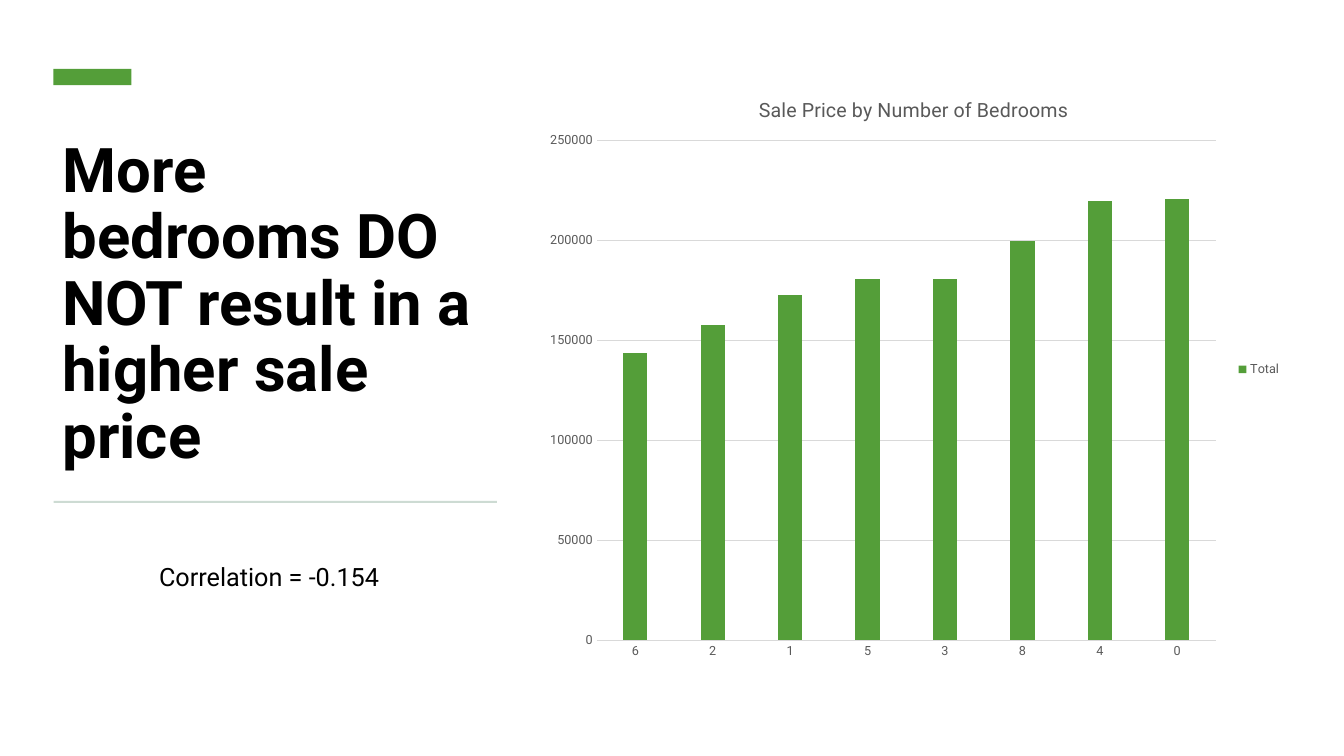
from dataclasses import dataclass

from lxml.etree import SubElement
from pptx import Presentation
from pptx.chart.data import CategoryChartData
from pptx.dml.color import RGBColor
from pptx.enum.chart import XL_CHART_TYPE as ChartType, XL_LEGEND_POSITION as LegendPos
from pptx.enum.chart import XL_TICK_MARK as TickMark
from pptx.enum.shapes import MSO_SHAPE as Shape
from pptx.enum.text import MSO_ANCHOR as Anchor, MSO_AUTO_SIZE as AutoSize
from pptx.oxml.ns import qn
from pptx.util import Inches, Pt


@dataclass(frozen=True)
class Theme:
    font: str = "Roboto"
    ink: str = "000000"
    muted: str = "595959"
    green: str = "549E39"
    rule: str = "CDDBD3"
    grid: str = "D9D9D9"
    headline: float = 44
    caption: float = 18
    chart_title: float = 14
    label: float = 9


THEME = Theme()
WIDTH, HEIGHT = Inches(13.33), Inches(7.5)
SALE_PRICES = {"6": 144000, "2": 158000, "1": 173000, "5": 181000,
               "3": 181000, "8": 200000, "4": 220000, "0": 221000}


def box(x, y, w, h):
    """Turn percentages of the slide into left, top, width, height."""
    return [int(share * side / 100)
            for share, side in zip((x, y, w, h), (WIDTH, HEIGHT) * 2)]


def style_font(font, size, color, bold=False):
    font.name, font.size, font.bold = THEME.font, Pt(size), bold
    font.color.rgb = RGBColor.from_string(color)


def write(tf, text, size, color=THEME.ink, bold=False, spacing=None):
    p = tf.paragraphs[0]
    p.line_spacing = spacing
    r = p.add_run()
    r.text = text
    style_font(r.font, size, color, bold)


def add_title(s, text, area):
    sp = s.shapes.title
    sp.left, sp.top, sp.width, sp.height = area
    tf = sp.text_frame
    tf.word_wrap, tf.auto_size = True, AutoSize.NONE
    tf.vertical_anchor = Anchor.BOTTOM
    write(tf, text, THEME.headline, bold=True, spacing=0.9)
    # Left-aligned headline
    tf.paragraphs[0].alignment = 1


def add_bar(s, color, area):
    sp = s.shapes.add_shape(Shape.RECTANGLE, *area)
    sp.shadow.inherit = False
    sp.fill.solid()
    sp.fill.fore_color.rgb = RGBColor.from_string(color)
    sp.line.fill.background()


def add_caption(s, text, area):
    tf = s.shapes.add_textbox(*area).text_frame
    tf.word_wrap, tf.auto_size = False, AutoSize.SHAPE_TO_FIT_TEXT
    write(tf, text, THEME.caption)


def place(part, index, **settings):
    """Give a chart part a manual layout."""
    for old in part.findall(qn("c:layout")):
        part.remove(old)
    layout = SubElement(part, qn("c:layout"))
    part.insert(index, layout)
    manual = SubElement(layout, qn("c:manualLayout"))
    for name, value in settings.items():
        SubElement(manual, qn(f"c:{name}")).set("val", str(value))


def style_line(line, color):
    line.color.rgb = RGBColor.from_string(color)
    line.width = Pt(0.75)


def add_price_chart(s, area):
    data = CategoryChartData()
    data.categories = list(SALE_PRICES)
    data.add_series("Total", list(SALE_PRICES.values()))
    chart = s.shapes.add_chart(ChartType.COLUMN_CLUSTERED, *area, data).chart
    style_font(chart.font, THEME.label, THEME.muted)

    # Title and legend
    chart.has_title = True
    title = chart.chart_title
    write(title.text_frame, "Sale Price by Number of Bedrooms",
          THEME.chart_title, THEME.muted)
    chart.has_legend = True
    chart.legend.position = LegendPos.RIGHT
    chart.legend.include_in_layout = False
    style_font(chart.legend.font, THEME.label, THEME.muted)

    # Axes
    for axis in (chart.category_axis, chart.value_axis):
        axis.major_tick_mark = axis.minor_tick_mark = TickMark.NONE
        style_font(axis.tick_labels.font, THEME.label, THEME.muted)
    style_line(chart.category_axis.format.line, THEME.grid)
    prices = chart.value_axis
    prices.minimum_scale, prices.maximum_scale, prices.major_unit = 0, 250000, 50000
    prices.format.line.fill.background()
    style_line(prices.major_gridlines.format.line, THEME.grid)

    # Columns
    plot = chart.plots[0]
    plot.gap_width, plot.overlap, plot.vary_by_categories = 219, -27, False
    fill = plot.series[0].format.fill
    fill.solid()
    fill.fore_color.rgb = RGBColor.from_string(THEME.green)

    # Positions inside the chart
    place(title._element, 1, xMode="edge", yMode="edge", x=0.29, y=0.04)
    plot_area = chart._chartSpace.find(f".//{qn('c:plotArea')}")
    place(plot_area, 0, layoutTarget="inner", xMode="edge", yMode="edge",
          x=0.08, y=0.12, w=0.82, h=0.83)


def main():
    prs = Presentation()
    prs.slide_width, prs.slide_height = WIDTH, HEIGHT
    s = prs.slides.add_slide(prs.slide_layouts[5])

    # Headline column
    add_title(s, "More bedrooms DO NOT result in a higher sale price",
              box(3.9, 16.4, 33, 46.67))
    add_bar(s, THEME.green, box(3.98, 9.13, 5.8, 2.13))
    add_bar(s, THEME.rule, box(3.98, 66.27, 33, 0.27))

    # Evidence
    add_price_chart(s, box(39.9, 9.07, 56.2, 79.6))
    add_caption(s, "Correlation = -0.154", box(11.1, 73.6, 18.7, 5.33))

    prs.save("out.pptx")


if __name__ == "__main__":
    main()
